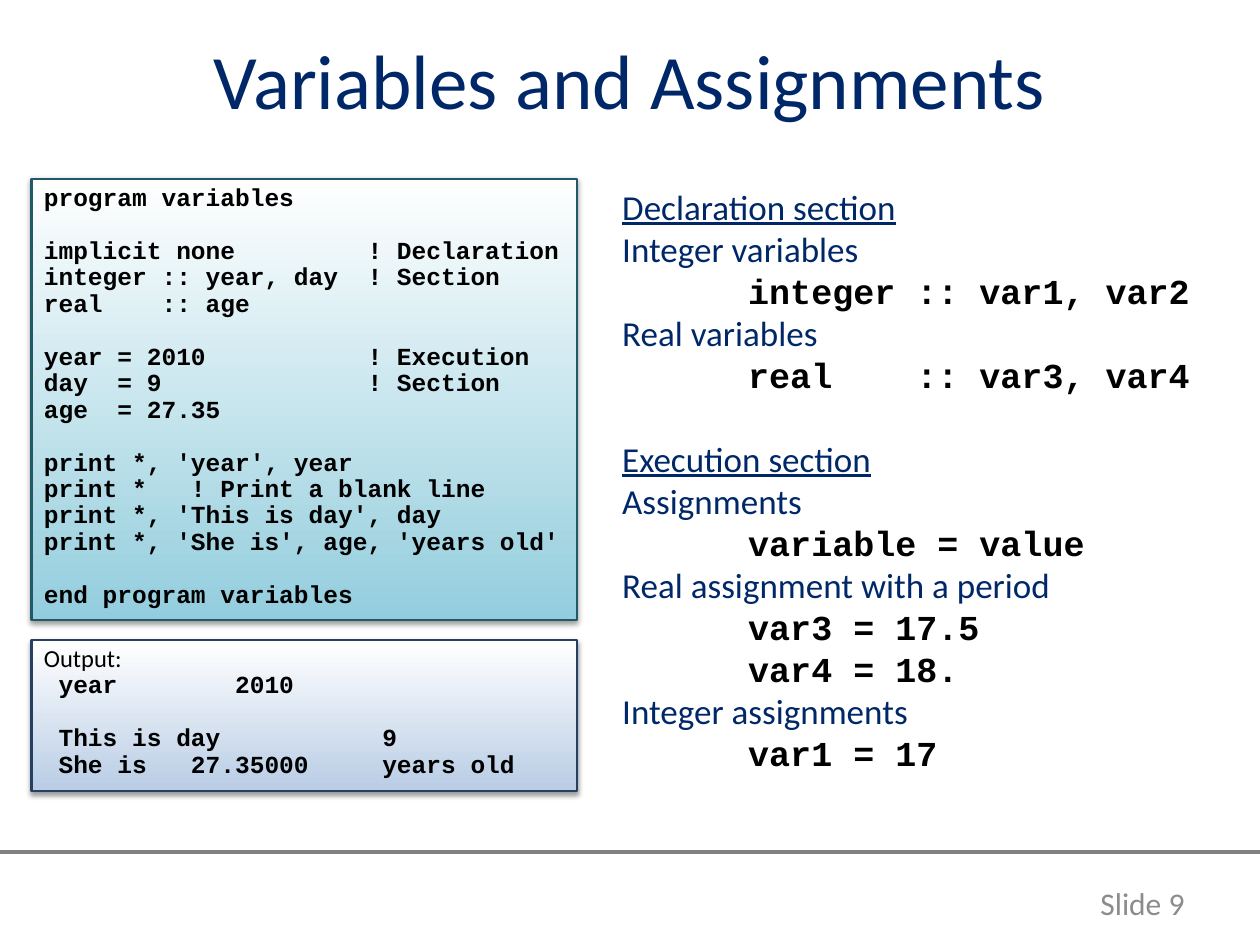
from dataclasses import dataclass

from lxml import etree
from pptx import Presentation
from pptx.dml.color import RGBColor
from pptx.enum import shapes, text
from pptx.oxml import parse_xml
from pptx.oxml.ns import nsdecls, qn
from pptx.util import Emu, Inches, Pt


@dataclass(frozen=True)
class Theme:
    sans: str = "Calibri"
    mono: str = "Courier New"
    navy: str = "002868"
    black: str = "000000"
    white: str = "FFFFFF"
    rule: str = "808080"
    muted: str = "8C8C8C"
    teal: str = "93CDDD"
    teal_edge: str = "215968"
    blue: str = "B9CDE5"
    blue_edge: str = "254061"
    title_size: float = 44
    body_size: float = 20
    footer_size: float = 18
    code_size: float = 14
    body_gap: float = 24
    code_gap: float = 15.1


THEME = Theme()


@dataclass(frozen=True)
class Line:
    """One paragraph; gap is the space above it in points."""
    words: str
    size: float = THEME.code_size
    font: str = THEME.mono
    color: str = THEME.black
    bold: bool = False
    underline: bool = False
    gap: float = 0
    indent: float = 0
    spacing: float = 1.0
    align: text.PP_ALIGN = text.PP_ALIGN.LEFT


@dataclass(frozen=True)
class Panel:
    top: float
    height: float
    fill: str
    edge: str
    lines: list[Line]


def code(words: str, gap: float = 0) -> Line:
    return Line(words, bold=True, gap=gap, spacing=0.9)


def note(words: str) -> Line:
    return Line(words, THEME.body_size, THEME.sans, THEME.navy)


def heading(words: str, gap: float = 0) -> Line:
    return Line(words, THEME.body_size, THEME.sans, THEME.navy, underline=True, gap=gap)


def example(words: str) -> Line:
    return Line(words, THEME.body_size, bold=True, indent=1)


GAP = THEME.code_gap
PROGRAM = [
    code("program variables"),
    code("implicit none         ! Declaration", GAP),
    code("integer :: year, day  ! Section"),
    code("real    :: age"),
    code("year = 2010           ! Execution", GAP),
    code("day  = 9              ! Section"),
    code("age  = 27.35"),
    code("print *, 'year', year", GAP),
    code("print *   ! Print a blank line"),
    code("print *, 'This is day', day"),
    code("print *, 'She is', age, 'years old'"),
    code("end program variables", GAP),
]
OUTPUT = [
    Line("Output:", font=THEME.sans, spacing=0.9),
    code(" year        2010"),
    code(" This is day           9", GAP),
    code(" She is   27.35000     years old"),
]
EXPLANATION = [
    heading("Declaration section"),
    note("Integer variables"),
    example("integer :: var1, var2"),
    note("Real variables"),
    example("real    :: var3, var4"),
    heading("Execution section", THEME.body_gap),
    note("Assignments"),
    example("variable = value"),
    note("Real assignment with a period"),
    example("var3 = 17.5"),
    example("var4 = 18."),
    note("Integer assignments"),
    example("var1 = 17"),
]
PANELS = [
    Panel(1.42, 3.5, THEME.teal, THEME.teal_edge, PROGRAM),
    Panel(5.08, 1.2, THEME.blue, THEME.blue_edge, OUTPUT),
]


def rgb(color: str) -> RGBColor:
    return RGBColor.from_string(color)


def write(shape, lines: list[Line], *, anchor=text.MSO_ANCHOR.TOP, grow: bool = False) -> None:
    frame = shape.text_frame
    frame.word_wrap = True
    frame.vertical_anchor = anchor
    fit = text.MSO_AUTO_SIZE
    frame.auto_size = fit.SHAPE_TO_FIT_TEXT if grow else fit.NONE
    for index, line in enumerate(lines):
        paragraph = frame.add_paragraph() if index else frame.paragraphs[0]
        paragraph.alignment = line.align
        paragraph.line_spacing = line.spacing
        paragraph.space_before = Pt(line.gap)
        if line.indent:
            paragraph._p.get_or_add_pPr().set("marL", str(Inches(line.indent)))
        run = paragraph.add_run()
        run.text = line.words
        font = run.font
        font.name, font.size = line.font, Pt(line.size)
        font.bold, font.underline = line.bold, line.underline
        font.color.rgb = rgb(line.color)


def add_text(slide, left: float, top: float, width: float, height: float,
             lines: list[Line], **layout) -> None:
    box = slide.shapes.add_textbox(*map(Inches, (left, top, width, height)))
    write(box, lines, **layout)


def add_soft_shadow(shape) -> None:
    shape._element.spPr.append(parse_xml(
        f'<a:effectLst {nsdecls("a")}><a:outerShdw blurRad="{Pt(3.1)}" dist="{Pt(1.6)}" '
        f'dir="5400000" rotWithShape="0"><a:srgbClr val="{THEME.black}">'
        '<a:alpha val="38000"/></a:srgbClr></a:outerShdw></a:effectLst>'))


def add_panel(slide, panel: Panel) -> None:
    box = slide.shapes.add_shape(
        shapes.MSO_SHAPE.RECTANGLE,
        *map(Inches, (0.25, panel.top, 4.33, panel.height)))
    box.fill.gradient()
    box.fill.gradient_angle = 90
    for stop, color in zip(box.fill.gradient_stops, (panel.fill, THEME.white)):
        stop.color.rgb = rgb(color)
    box.line.color.rgb = rgb(panel.edge)
    box.line.width = Pt(1.5)
    add_soft_shadow(box)
    write(box, panel.lines, grow=True)


def add_footer_rule(slide, width: Emu) -> None:
    height = Inches(6.76)
    rule = slide.shapes.add_connector(
        shapes.MSO_CONNECTOR.STRAIGHT, 0, height, width, height)
    rule.line.color.rgb = rgb(THEME.rule)
    rule.line.width = Pt(2)
    etree.SubElement(rule._element.spPr, qn("a:effectLst"))


def main() -> None:
    deck = Presentation()
    deck.slide_width, deck.slide_height = Inches(10), Inches(7.5)
    slide = deck.slides.add_slide(deck.slide_layouts[6])

    add_footer_rule(slide, deck.slide_width)
    middle = text.MSO_ANCHOR.MIDDLE
    add_text(slide, 8.41, 6.97, 1.09, 0.4,
             [Line("Slide 9", THEME.footer_size, THEME.sans, THEME.muted,
                   align=text.PP_ALIGN.RIGHT)], anchor=middle)
    add_text(slide, 0.5, 0, 9, 1.25,
             [Line("Variables and Assignments", THEME.title_size, THEME.sans,
                   THEME.navy, align=text.PP_ALIGN.CENTER)], anchor=middle)
    for panel in PANELS:
        add_panel(slide, panel)
    add_text(slide, 4.84, 1.42, 5.13, 4.81, EXPLANATION, grow=True)

    deck.save("out.pptx")


if __name__ == "__main__":
    main()
